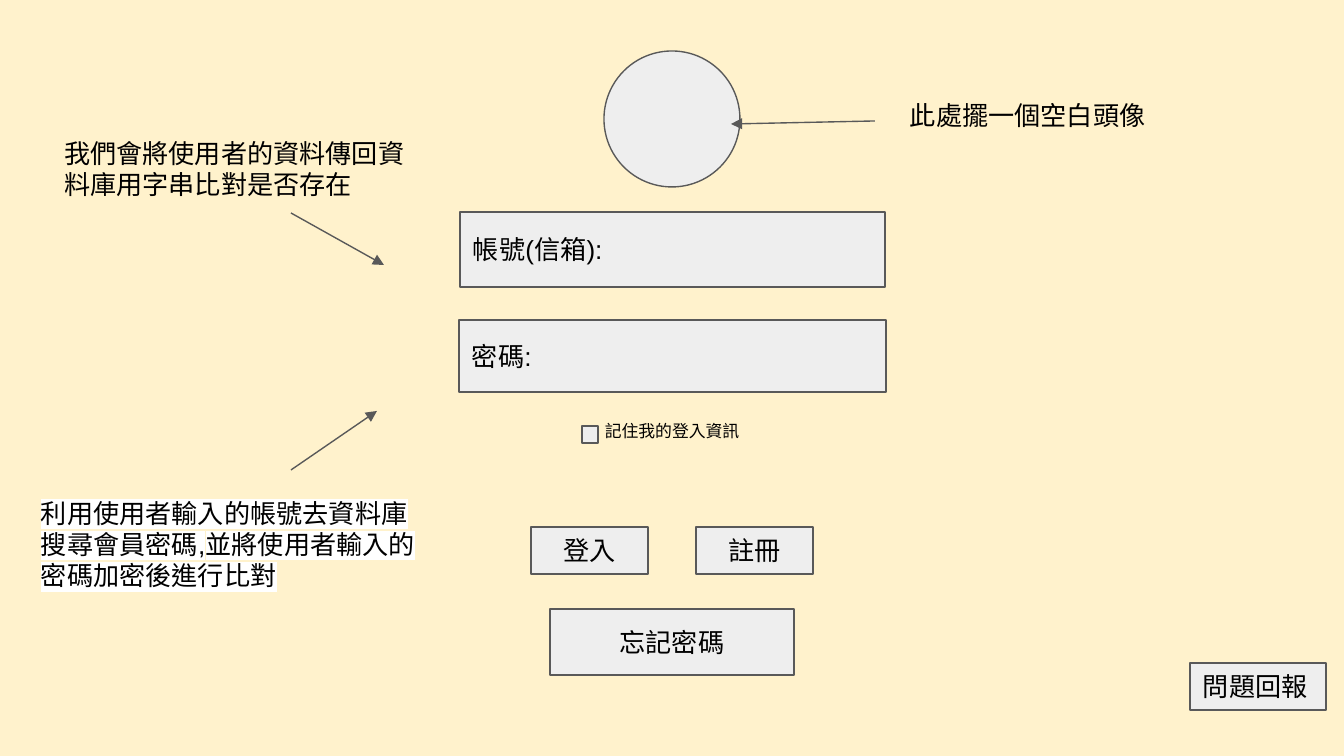
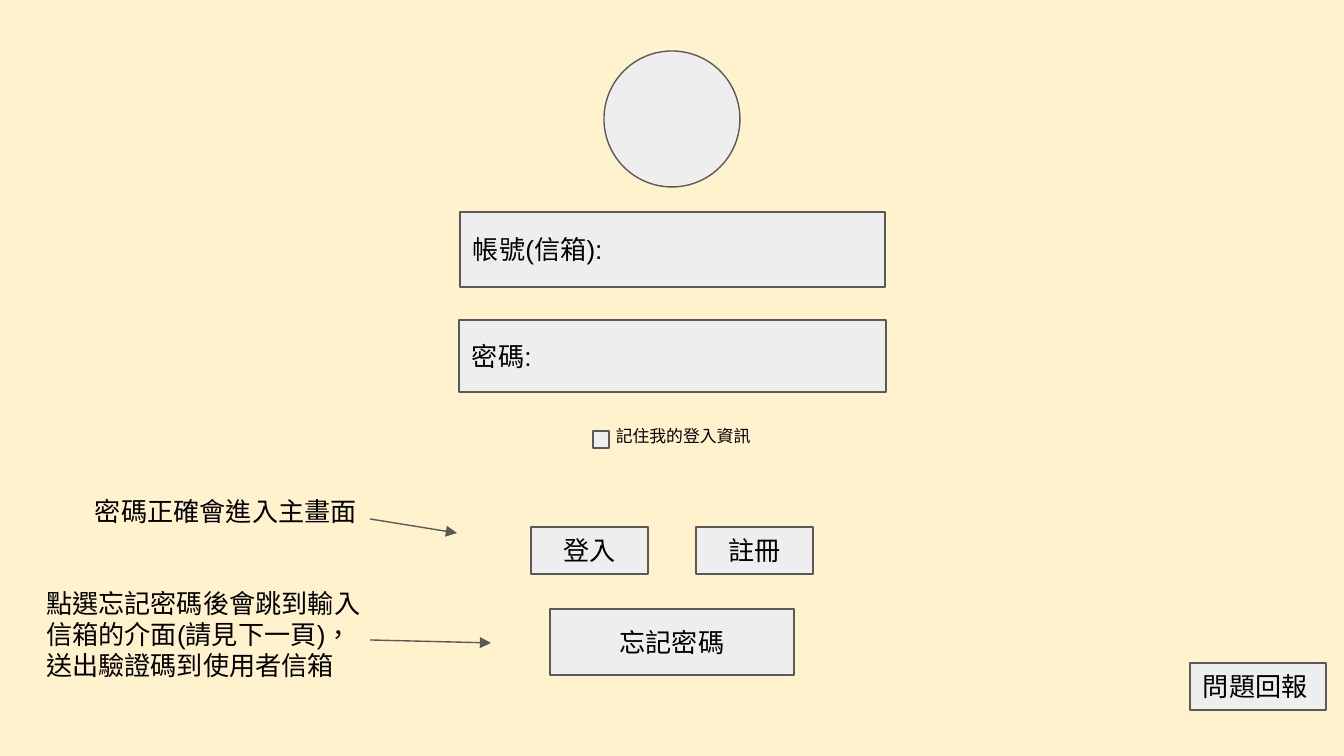
from dataclasses import dataclass

from lxml.etree import SubElement
from pptx import Presentation
from pptx.dml.color import RGBColor
from pptx.enum.lang import MSO_LANGUAGE_ID
from pptx.enum.shapes import MSO_CONNECTOR, MSO_SHAPE
from pptx.enum.text import MSO_ANCHOR, PP_ALIGN
from pptx.oxml.ns import qn
from pptx.util import Emu, Pt


@dataclass(frozen=True)
class Theme:
    background: RGBColor = RGBColor(0xFF, 0xF2, 0xCC)
    panel: RGBColor = RGBColor(0xEE, 0xEE, 0xEE)
    outline: RGBColor = RGBColor(0x59, 0x59, 0x59)
    ink: RGBColor = RGBColor(0x00, 0x00, 0x00)
    highlight: str = "FFFFFF"
    font: str = "Arial"
    body: Pt = Pt(14)
    small: Pt = Pt(9)
    stroke: Pt = Pt(0.75)


THEME = Theme()
PX = 914400 / 134.4
INSET = 13
LEFT, CENTER = PP_ALIGN.LEFT, PP_ALIGN.CENTER


def emu(*pixels):
    return [Emu(round(p * PX)) for p in pixels]


def write(holder, text, align=LEFT, size=THEME.body, anchor=MSO_ANCHOR.TOP, marked=False):
    frame = holder.text_frame
    frame.word_wrap = True
    frame.vertical_anchor = anchor
    inset, = emu(INSET)
    frame.margin_left = frame.margin_right = inset
    frame.margin_top = frame.margin_bottom = inset
    paragraph = frame.paragraphs[0]
    paragraph.alignment = align
    run = paragraph.add_run()
    run.text = text
    run.font.size = size
    run.font.color.rgb = THEME.ink
    run.font.language_id = MSO_LANGUAGE_ID.TRADITIONAL_CHINESE
    properties = run.font._element
    if marked:
        mark = SubElement(properties, qn("a:highlight"))
        SubElement(mark, qn("a:srgbClr"), val=THEME.highlight)
    for script in ("a:latin", "a:ea"):
        SubElement(properties, qn(script), typeface=THEME.font)


# The login form that both slides show: left, top, width, height
AVATAR = (604, 51, 136, 136)
FORM = [
    ("帳號(信箱):", (460, 212, 425, 75), LEFT),
    ("密碼:", (459, 320, 427, 72), LEFT),
    ("登入", (531, 527, 117, 47), CENTER),
    ("忘記密碼", (550, 609, 244, 66), CENTER),
    ("註冊", (696, 527, 117, 47), CENTER),
    ("問題回報", (1190, 663, 136, 47), LEFT),
]

# What differs: notes (text, box, highlighted), arrows (from, to), remember-me offset
SCREENS = [
    {
        "notes": [
            ("我們會將使用者的資料傳回資料庫用字串比對是否存在", (51, 124, 370, 73), False),
            ("利用使用者輸入的帳號去資料庫搜尋會員密碼,並將使用者輸入的密碼加密後進行比對",
             (28, 484, 414, 108), True),
            ("此處擺一個空白頭像", (897, 86, 271, 66), False),
        ],
        "arrows": [(291, 213, 384, 265), (291, 470, 377, 411), (875, 121, 731, 124)],
        "remember": (520, 411),
    },
    {
        "notes": [
            ("點選忘記密碼後會跳到輸入信箱的介面(請見下一頁)，送出驗證碼到使用者信箱",
             (33, 574, 355, 66), False),
            ("密碼正確會進入主畫面", (82, 482, 314, 58), False),
        ],
        "arrows": [(370, 640, 491, 643), (370, 519, 457, 533)],
        "remember": (531, 416),
    },
]

deck = Presentation()
deck.slide_width, deck.slide_height = emu(1344, 756)
blank_layout = deck.slide_layouts[6]

for screen in SCREENS:
    slide = deck.slides.add_slide(blank_layout)
    slide.background.fill.solid()
    slide.background.fill.fore_color.rgb = THEME.background

    # Avatar, fields, buttons and the remember-me box
    remember_left, remember_top = screen["remember"]
    checkbox = (remember_left + 62, remember_top + 15, 16, 17)
    panels = [("", AVATAR, CENTER, MSO_SHAPE.OVAL)]
    panels += [(*control, MSO_SHAPE.RECTANGLE) for control in FORM]
    panels.append(("", checkbox, CENTER, MSO_SHAPE.RECTANGLE))
    for label, box, align, outline in panels:
        panel = slide.shapes.add_shape(outline, *emu(*box))
        panel.shadow.inherit = False
        panel.fill.solid()
        panel.fill.fore_color.rgb = THEME.panel
        panel.line.color.rgb = THEME.outline
        panel.line.width = THEME.stroke
        if label:
            write(panel, label, align, anchor=MSO_ANCHOR.MIDDLE)

    # Remember-me label
    remember = slide.shapes.add_textbox(*emu(remember_left, remember_top, 304, 47))
    write(remember, "記住我的登入資訊", CENTER, THEME.small)

    # Explanatory notes
    for text, box, marked in screen["notes"]:
        note = slide.shapes.add_textbox(*emu(*box))
        write(note, text, marked=marked)

    # Arrows from the notes to the form
    for ends in screen["arrows"]:
        arrow = slide.shapes.add_connector(MSO_CONNECTOR.STRAIGHT, *emu(*ends))
        arrow.line.color.rgb = THEME.outline
        arrow.line.width = THEME.stroke
        SubElement(arrow.line._get_or_add_ln(), qn("a:tailEnd"), type="triangle")
        SubElement(arrow._element.spPr, qn("a:effectLst"))

deck.save("out.pptx")
